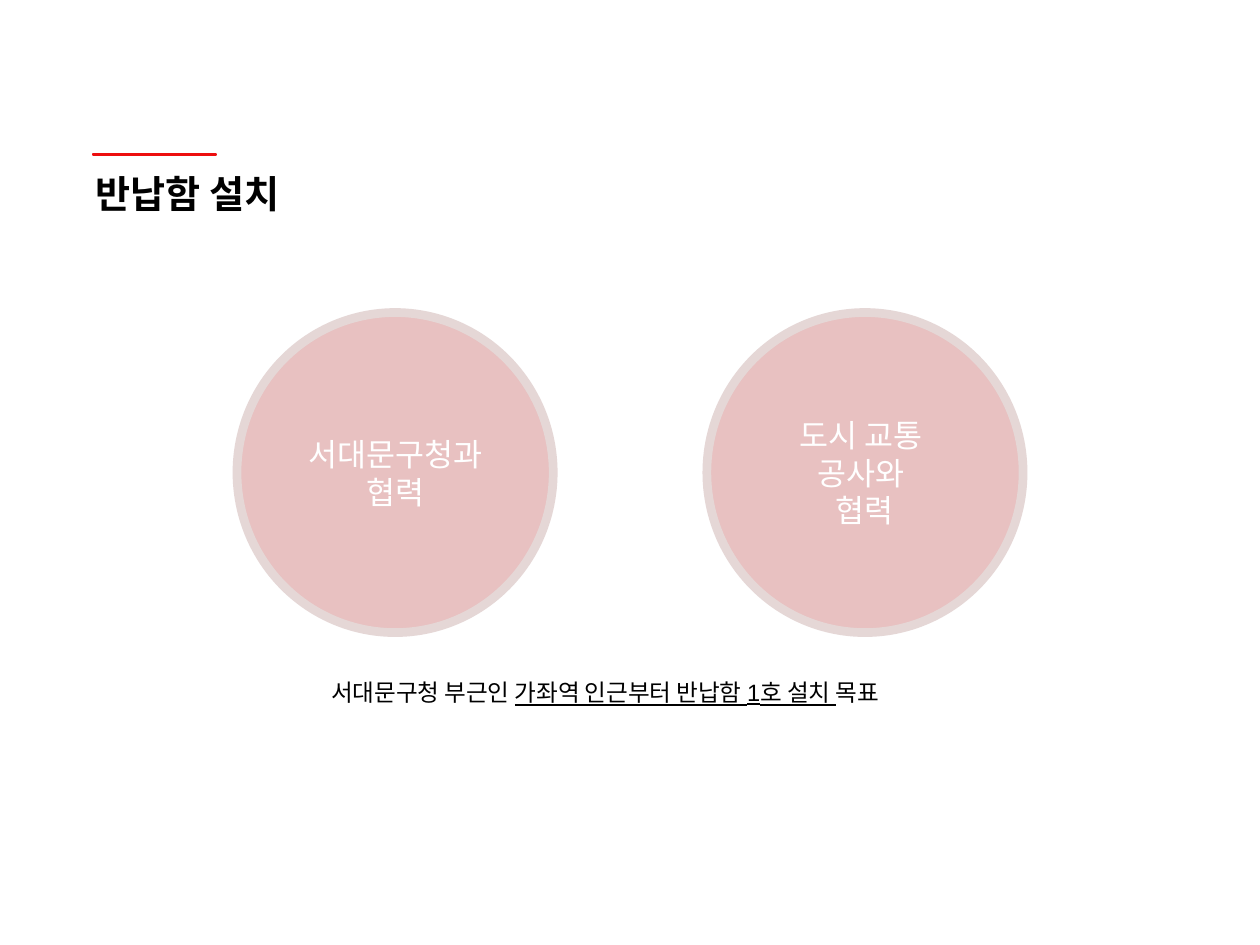
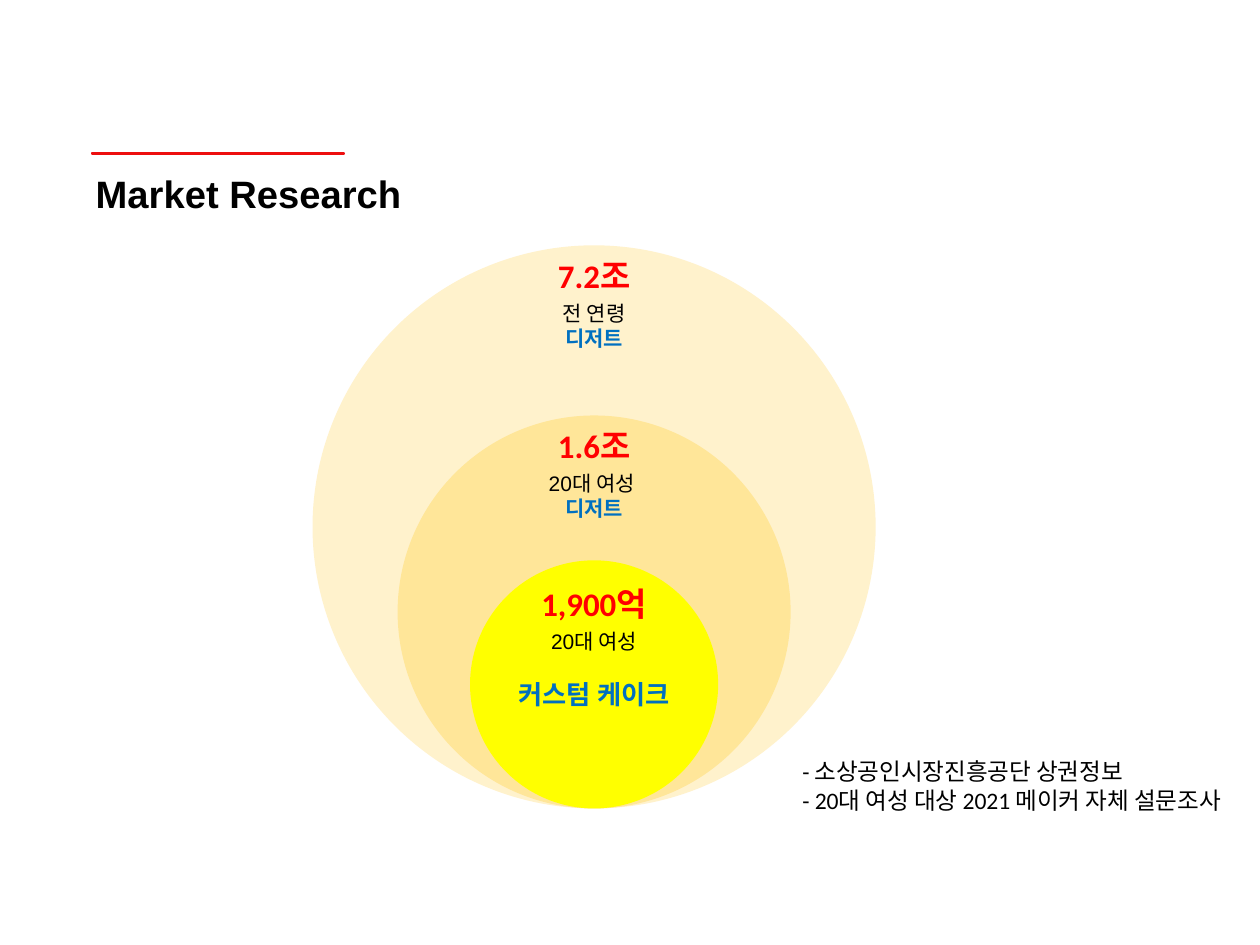
from dataclasses import dataclass

from pptx import Presentation
from pptx.dml.color import RGBColor
from pptx.enum.shapes import MSO_SHAPE
from pptx.enum.text import MSO_ANCHOR, PP_ALIGN
from pptx.util import Pt

ELLIPSE, MINUS = MSO_SHAPE.OVAL, MSO_SHAPE.MATH_MINUS
MIDDLE, TOP = MSO_ANCHOR.MIDDLE, MSO_ANCHOR.TOP
LEFT, CENTER = PP_ALIGN.LEFT, PP_ALIGN.CENTER


@dataclass(frozen=True)
class Theme:
    body_font: str = "Arial"
    figure_font: str = "Calibri"
    black: str = "000000"
    white: str = "FFFFFF"
    accent: str = "ED0E0F"
    partner_fill: str = "E8C1C1"
    partner_line: str = "E5D7D6"
    figure: str = "FF0000"
    product: str = "0070C0"
    title_size: float = 21.8
    figure_size: float = 18.8
    partner_size: float = 18
    emphasis_size: float = 15
    note_size: float = 13.5
    label_size: float = 12


THEME = Theme()


@dataclass(frozen=True)
class Box:
    left: float
    top: float
    width: float
    height: float


@dataclass(frozen=True)
class Run:
    text: str
    size: float
    color: str = THEME.black
    font: str = THEME.body_font
    bold: bool = False
    underline: bool = False


@dataclass(frozen=True)
class Line:
    runs: tuple[Run, ...]
    space_before: float = 0


@dataclass(frozen=True)
class Market:
    diameter: float
    fill: str
    figure_top: float
    figure: str
    audience: str
    product: Line


# Shared drawing
def write_lines(frame, lines, align=LEFT, anchor=TOP) -> None:
    frame.word_wrap = True
    frame.vertical_anchor = anchor
    for index, line in enumerate(lines):
        paragraph = frame.add_paragraph() if index else frame.paragraphs[0]
        paragraph.alignment = align
        if line.space_before:
            paragraph.space_before = Pt(line.space_before)
        for item in line.runs:
            run = paragraph.add_run()
            run.text = item.text
            run.font.name = item.font
            run.font.size = Pt(item.size)
            run.font.bold = item.bold
            run.font.underline = item.underline
            run.font.color.rgb = RGBColor.from_string(item.color)


def add_text(slide, box: Box, lines, align=LEFT, anchor=TOP):
    shape = slide.shapes.add_textbox(
        Pt(box.left), Pt(box.top), Pt(box.width), Pt(box.height))
    write_lines(shape.text_frame, lines, align, anchor)
    return shape.text_frame


def add_filled(slide, kind, box: Box, fill: str, line: str = "", line_width: float = 0):
    shape = slide.shapes.add_shape(
        kind, Pt(box.left), Pt(box.top), Pt(box.width), Pt(box.height))
    shape.shadow.inherit = False
    shape.fill.solid()
    shape.fill.fore_color.rgb = RGBColor.from_string(fill)
    if line:
        shape.line.color.rgb = RGBColor.from_string(line)
        shape.line.width = Pt(line_width)
    else:
        shape.line.fill.background()
    return shape


def add_titled_slide(presentation, title: str, rule: Box):
    slide = presentation.slides.add_slide(presentation.slide_layouts[6])
    title_line = Line((Run(title, THEME.title_size, bold=True),))
    frame = add_text(slide, Box(49.7, 89.3, 620.6, 45.4), [title_line], anchor=MIDDLE)
    frame.margin_left = frame.margin_right = Pt(5)
    frame.margin_top = frame.margin_bottom = Pt(2.9)
    frame.paragraphs[0].line_spacing = 0.9
    bar = add_filled(slide, MINUS, rule, THEME.accent, THEME.accent, 1)
    bar.adjustments[0] = 0.235
    return slide


# Slide 1: partners for the return boxes
def build_return_box_slide(presentation) -> None:
    slide = add_titled_slide(presentation, "반납함 설치", Box(40.3, 87.1, 95.8, 2.2))
    partners = (("서대문구청과", "협력"), ("도시 교통 ", "공사와 ", "협력"))
    first_left, pitch = 135.4, 268.5
    for index, texts in enumerate(partners):
        box = Box(first_left + index * pitch, 178.6, 180.7, 182.9)
        circle = add_filled(slide, ELLIPSE, box, THEME.partner_fill, THEME.partner_line, 5)
        lines = [Line((Run(text, THEME.partner_size, THEME.white),)) for text in texts]
        write_lines(circle.text_frame, lines, CENTER, MIDDLE)

    size = THEME.note_size
    goal = Line((
        Run("서대문구청 부근인 ", size),
        Run("가좌역 인근부터 반납함 1호 설치 ", size, underline=True),
        Run("목표", size),
    ))
    add_text(slide, Box(182.2, 383.8, 374.4, 23.8), [goal])


# Slide 2: nested market sizes
def build_market_slide(presentation) -> None:
    slide = add_titled_slide(presentation, "Market Research", Box(26.6, 87.1, 195.8, 1.4))
    dessert = Line((Run("디저트", THEME.label_size, THEME.product, bold=True),))
    custom_cake = Line(
        (Run("커스텀 케이크", THEME.emphasis_size, THEME.product, bold=True),), 14)
    markets = (
        Market(321.8, "FFF2CC", 142.6, "7.2조", "전 연령", dessert),
        Market(224.6, "FFE699", 239.8, "1.6조", "20대 여성 ", dessert),
        Market(141.8, "FFFF00", 329.8, "1,900억", "20대 여성", custom_cake),
    )
    center, bottom, label_drop = 339.5, 462, 25.7
    figure_width, label_width = 87.1, 129.6
    for market in markets:
        size = market.diameter
        add_filled(slide, ELLIPSE, Box(center - size / 2, bottom - size, size, size),
                   market.fill)
        figure = Line((Run(market.figure, THEME.figure_size, THEME.figure,
                           THEME.figure_font, bold=True),))
        add_text(slide, Box(center - figure_width / 2, market.figure_top, figure_width, 30.2),
                 [figure], CENTER)
        audience = Line((Run(market.audience, THEME.label_size),))
        label_box = Box(center - label_width / 2, market.figure_top + label_drop,
                        label_width, 36 + market.product.space_before)
        add_text(slide, label_box, [audience, market.product], CENTER)

    sources = ("- 소상공인시장진흥공단 상권정보", "- 20대 여성 대상 2021 메이커 자체 설문조사")
    lines = [Line((Run(text, THEME.note_size, font=THEME.figure_font),)) for text in sources]
    add_text(slide, Box(451.4, 429.1, 268.6, 56.2), lines)


def main() -> None:
    presentation = Presentation()
    presentation.slide_width, presentation.slide_height = Pt(720), Pt(540)
    build_return_box_slide(presentation)
    build_market_slide(presentation)
    presentation.save("out.pptx")


if __name__ == "__main__":
    main()
